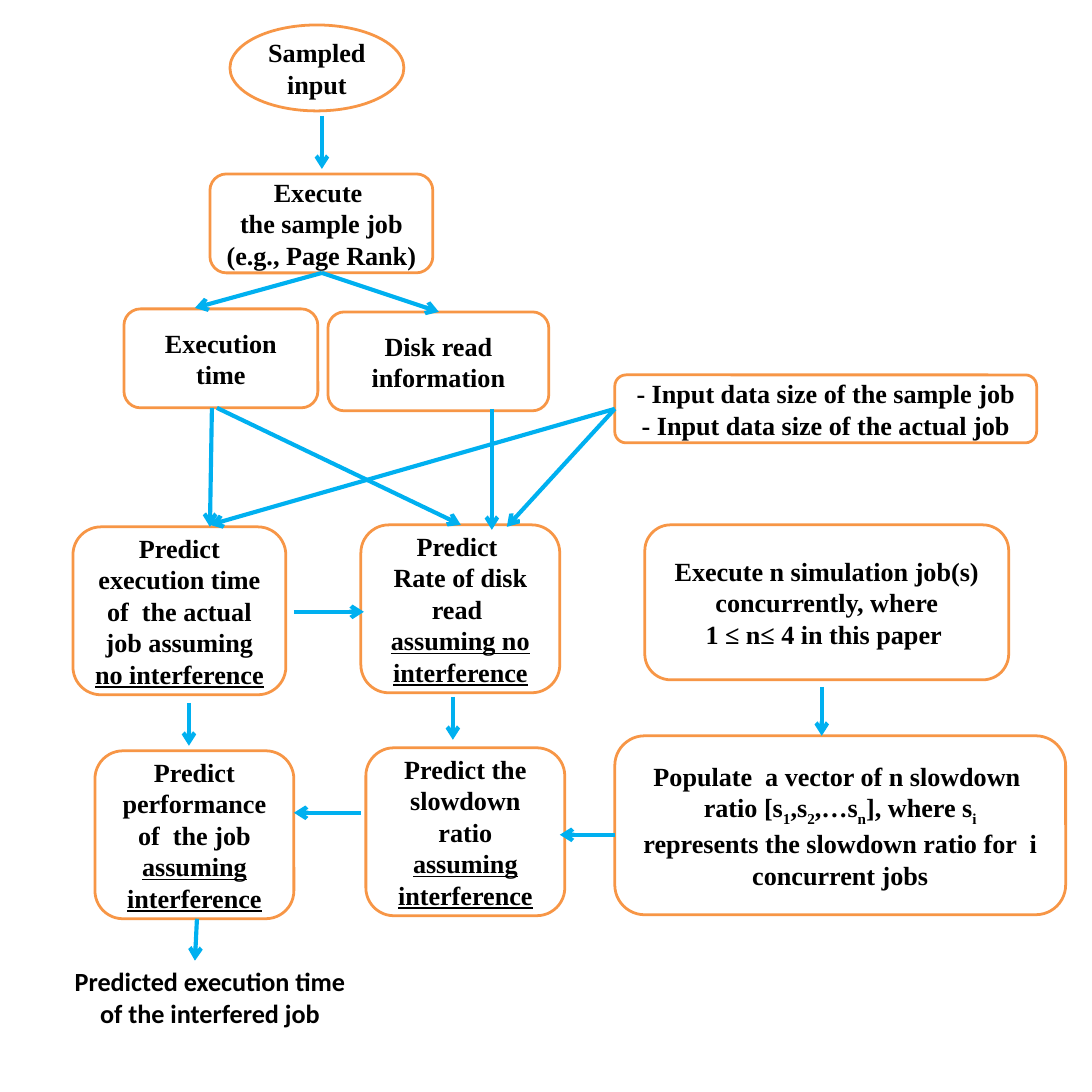
from lxml import etree
from pptx import Presentation
from pptx.dml.color import RGBColor
from pptx.enum.shapes import MSO_CONNECTOR, MSO_SHAPE
from pptx.enum.text import MSO_ANCHOR, MSO_AUTO_SIZE, PP_ALIGN
from pptx.oxml.ns import qn
from pptx.util import Inches, Pt

ORANGE = RGBColor(0xF7, 0x96, 0x46)
BLUE = RGBColor(0x00, 0xB0, 0xF0)
BLACK = RGBColor(0x00, 0x00, 0x00)
SCALE = Inches(1) / 99.3  # EMU per pixel
ROUND, OVAL = MSO_SHAPE.ROUNDED_RECTANGLE, MSO_SHAPE.OVAL
PLAIN, UNDER, SUB = "plain", "underline", "subscript"

# Steps: shape, (left, top, width, height), paragraphs
# A paragraph is a string, or a list of (text, style) runs
STEPS = [
    (OVAL, (230, 25, 174, 86), ["Sampled input"]),
    (ROUND, (210, 174, 223, 99),
     ["Execute ", "the sample job", "(e.g., Page Rank)"]),
    (ROUND, (124, 309, 194, 99), ["Execution time"]),
    (ROUND, (328, 312, 221, 99), ["Disk read information"]),
    (ROUND, (615, 375, 422, 68),
     ["- Input data size of the sample job",
      "- Input data size of the actual job"]),
    (ROUND, (73, 527, 213, 168),
     [[("Predict execution time of  the actual job assuming ", PLAIN),
       ("no interference", UNDER)]]),
    (ROUND, (361, 525, 199, 168),
     ["Predict ", "Rate of disk read ",
      [("assuming no interference", UNDER)]]),
    (ROUND, (645, 525, 364, 155),
     ["Execute n simulation job(s) concurrently, where",
      "1 ≤ n≤ 4 in this paper "]),
    (ROUND, (95, 751, 199, 168),
     [[("Predict performance of  the job ", PLAIN),
       ("assuming interference", UNDER)]]),
    (ROUND, (366, 748, 199, 168),
     [[("Predict the slowdown ratio ", PLAIN),
       ("assuming interference", UNDER)]]),
    (ROUND, (615, 736, 451, 179),
     ["Populate  a vector of n slowdown ",
      [("ratio [s", PLAIN), ("1", SUB), (",s", PLAIN), ("2", SUB),
       (",…s", PLAIN), ("n", SUB), ("], where s", PLAIN), ("i", SUB)],
      "represents the slowdown ratio for  i concurrent jobs"]),
]
RESULT_BOX = (53, 961, 314, 73)
RESULT = ["Predicted execution time of the interfered job"]

# Arrows: (from x, from y, to x, to y)
ARROWS = [
    (322, 116, 322, 169),
    (322, 273, 195, 308), (322, 273, 439, 312),
    (212, 408, 210, 527), (217, 408, 461, 525),
    (492, 409, 492, 530),
    (615, 409, 210, 525), (615, 409, 507, 527),
    (294, 612, 364, 612),
    (189, 703, 189, 746), (453, 697, 453, 740), (822, 687, 822, 736),
    (615, 835, 560, 835), (361, 813, 294, 813),
    (197, 919, 195, 961),
]


def emu(pixels):
    return [round(v * SCALE) for v in pixels]


def fill_text(tf, paragraphs, font_name):
    tf.word_wrap = True
    for i, runs in enumerate(paragraphs):
        p = tf.paragraphs[0] if i == 0 else tf.add_paragraph()
        p.alignment = PP_ALIGN.CENTER
        if isinstance(runs, str):
            runs = [(runs, PLAIN)]
        for text, style in runs:
            r = p.add_run()
            r.text = text
            r.font.name, r.font.size, r.font.bold = font_name, Pt(19), True
            r.font.color.rgb = BLACK
            if style == UNDER:
                r.font.underline = True
            elif style == SUB:
                r.font._element.set("baseline", "-25000")


prs = Presentation()
prs.slide_width = prs.slide_height = Inches(11)
shapes = prs.slides.add_slide(prs.slide_layouts[6]).shapes

# Outlined steps
for kind, box, paragraphs in STEPS:
    sp = shapes.add_shape(kind, *emu(box))
    sp.shadow.inherit = False
    sp.fill.background()
    sp.line.color.rgb = ORANGE
    sp.line.width = Pt(2)
    sp.text_frame.vertical_anchor = MSO_ANCHOR.MIDDLE
    fill_text(sp.text_frame, paragraphs, "Times New Roman")

# Final result
tb = shapes.add_textbox(*emu(RESULT_BOX))
fill_text(tb.text_frame, RESULT, "Calibri")
tb.text_frame.auto_size = MSO_AUTO_SIZE.SHAPE_TO_FIT_TEXT

# Arrows between steps
for ends in ARROWS:
    cx = shapes.add_connector(MSO_CONNECTOR.STRAIGHT, *emu(ends))
    cx.line.color.rgb = BLUE
    cx.line.width = Pt(3)
    ln = cx.line._get_or_add_ln()
    etree.SubElement(ln, qn("a:tailEnd")).set("type", "arrow")
    etree.SubElement(cx._element.spPr, qn("a:effectLst"))

prs.save("out.pptx")
